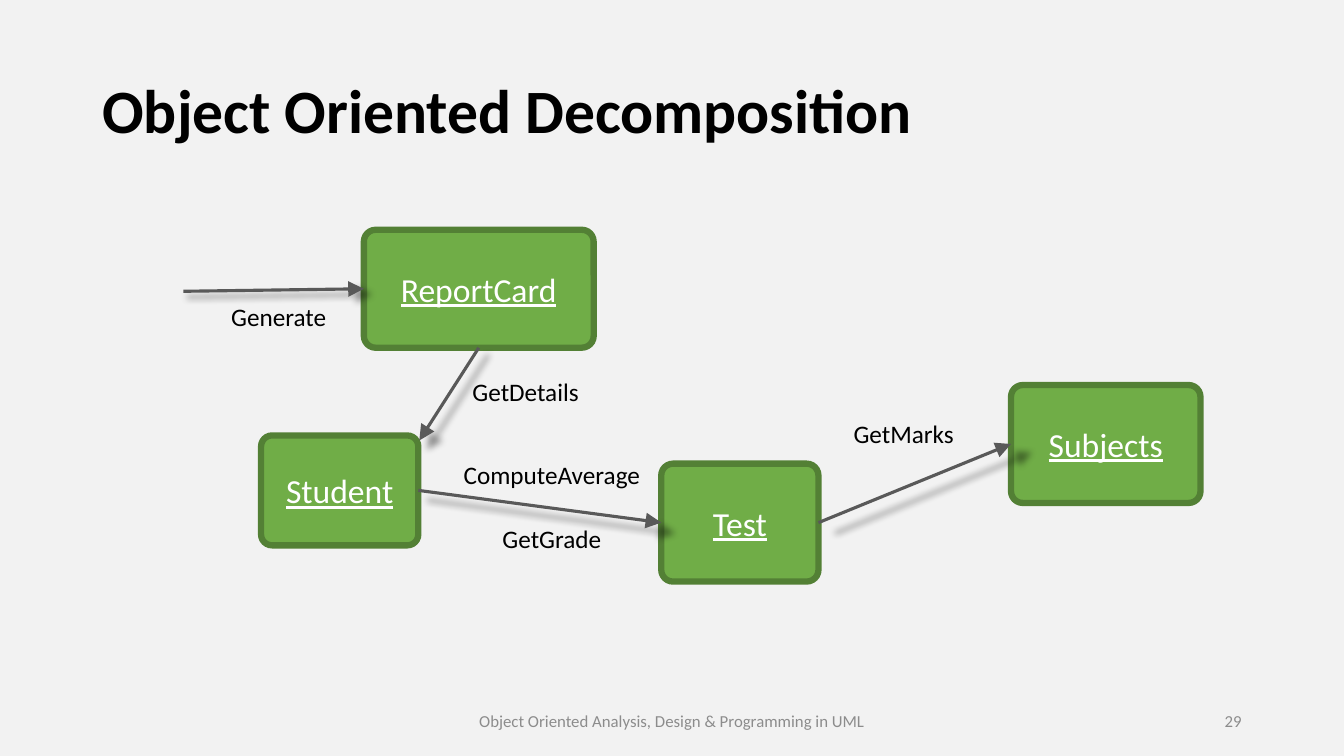
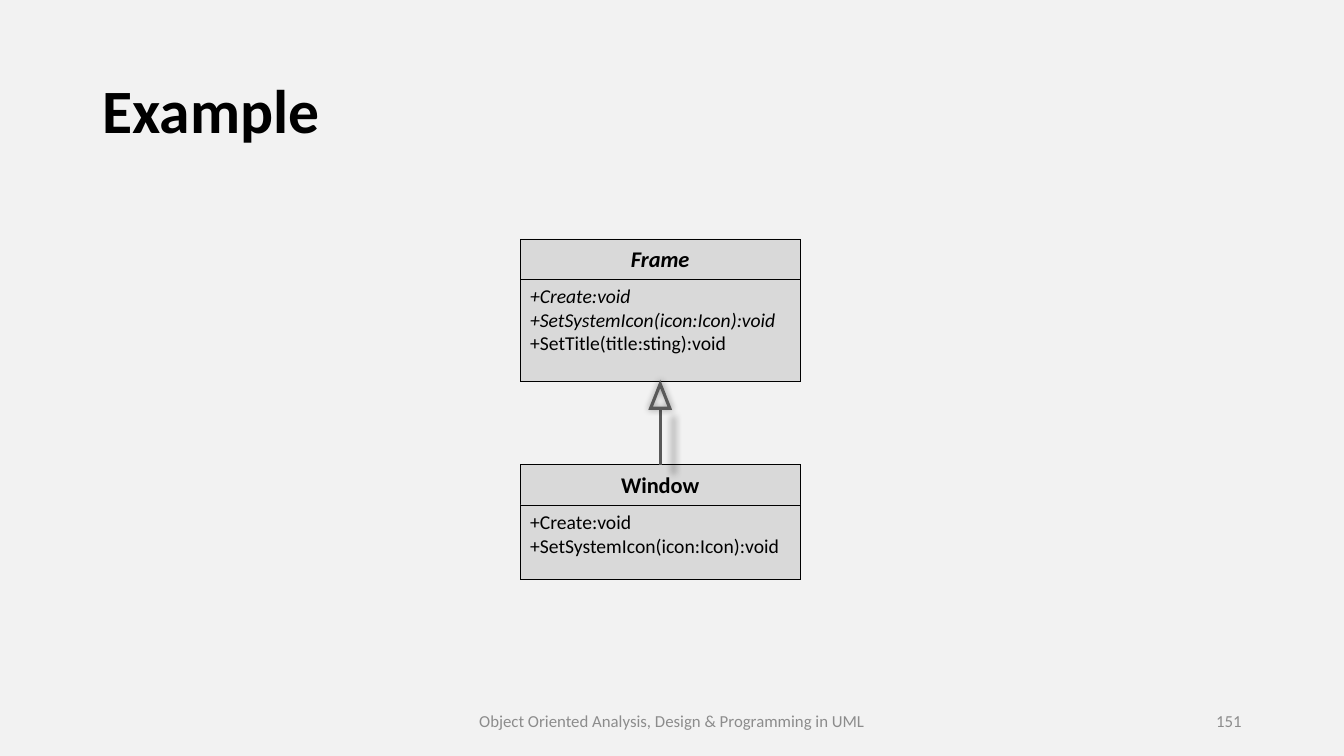
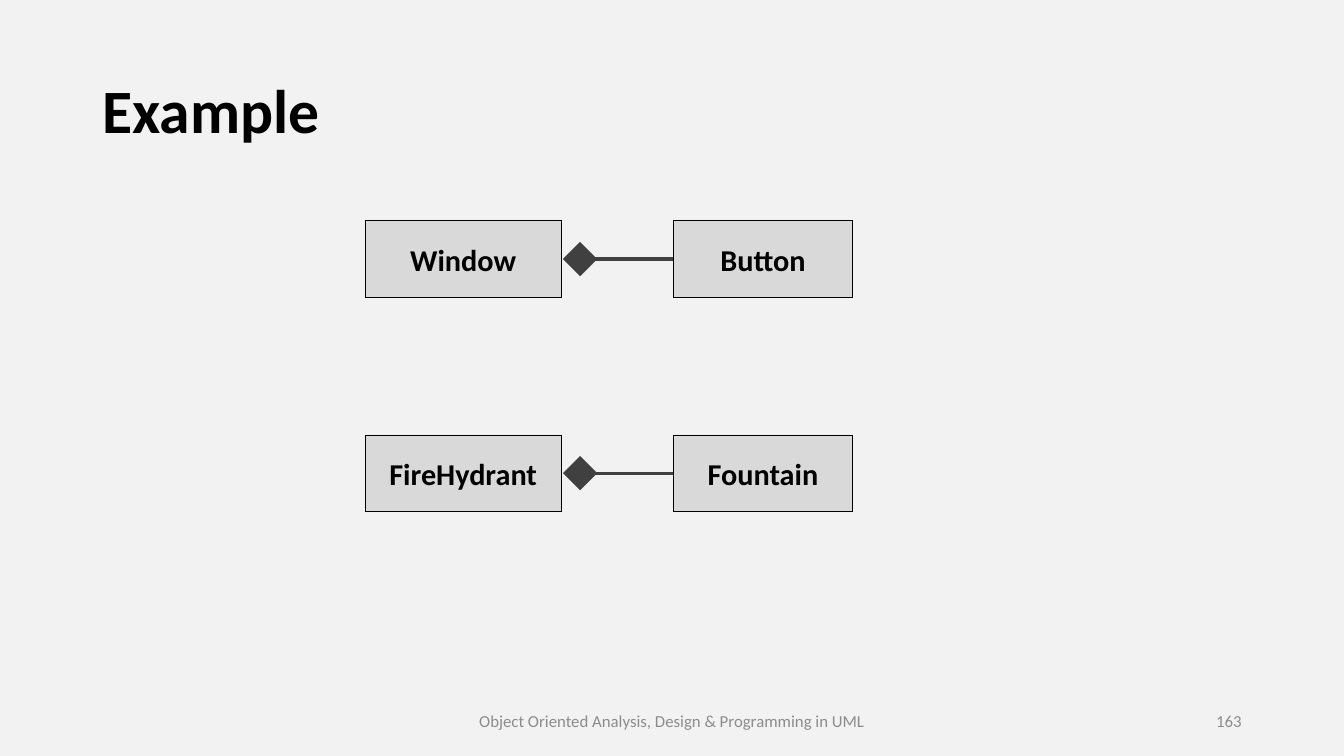
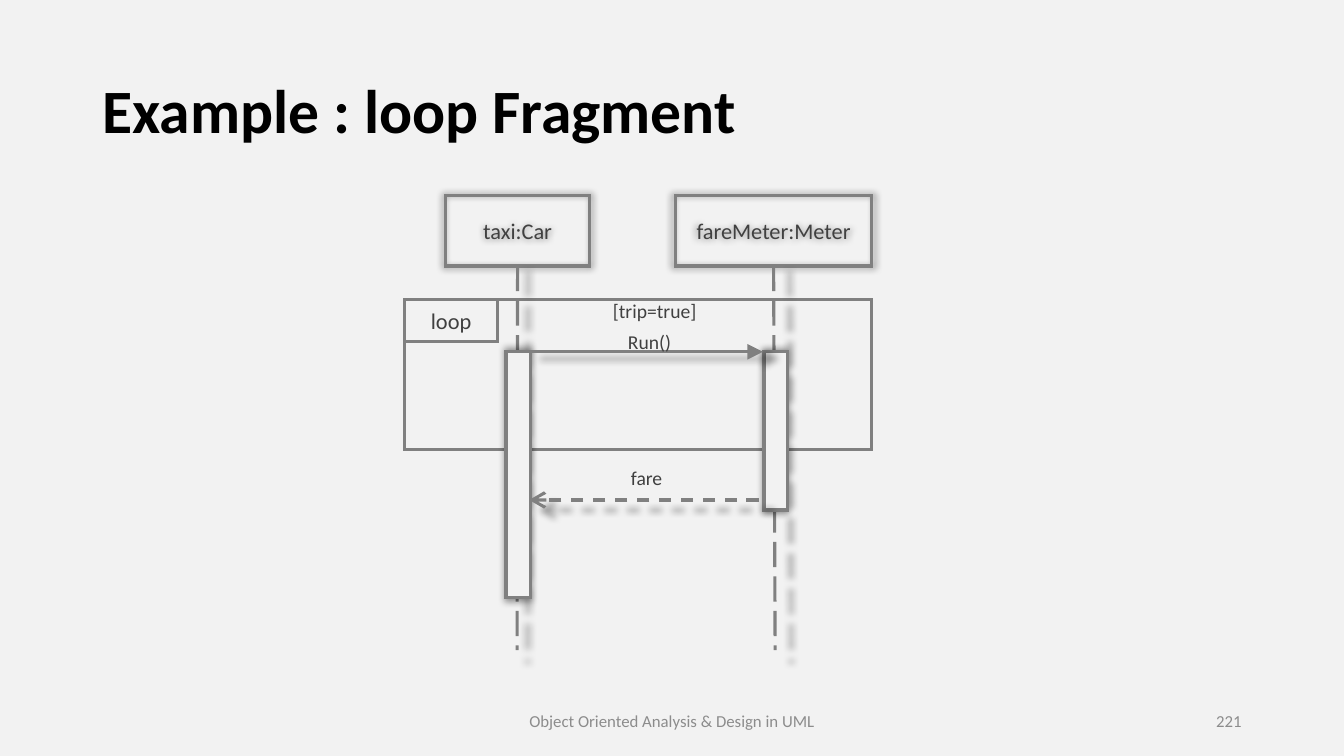
from lxml.etree import SubElement
from pptx import Presentation
from pptx.dml.color import RGBColor
from pptx.enum.dml import MSO_LINE
from pptx.enum.shapes import MSO_CONNECTOR, MSO_SHAPE
from pptx.enum.text import MSO_ANCHOR, PP_ALIGN
from pptx.oxml.ns import qn
from pptx.util import Inches, Pt

BLACK = RGBColor(0x00, 0x00, 0x00)
WHITE = RGBColor(0xFF, 0xFF, 0xFF)
PAPER = RGBColor(0xF2, 0xF2, 0xF2)
SILVER = RGBColor(0xD9, 0xD9, 0xD9)
MUTED = RGBColor(0x8C, 0x8C, 0x8C)
GRAY = RGBColor(0x80, 0x80, 0x80)
SLATE = RGBColor(0x59, 0x59, 0x59)
DARK = RGBColor(0x40, 0x40, 0x40)
GREEN = RGBColor(0x70, 0xAD, 0x47)
FOREST = RGBColor(0x53, 0x80, 0x35)

WIDE, HIGH = Inches(13.33), Inches(7.5)
COLS, ROWS = 80, 45
FACE = "Calibri"
TOP, MID = MSO_ANCHOR.TOP, MSO_ANCHOR.MIDDLE
LEFT, CENTER, RIGHT = PP_ALIGN.LEFT, PP_ALIGN.CENTER, PP_ALIGN.RIGHT
RECT = MSO_SHAPE.RECTANGLE

LONG_FOOT = "Object Oriented Analysis, Design & Programming in UML"
SHORT_FOOT = "Object Oriented Analysis & Design in UML"

OBJECTS = {
    "Student": (15.54, 25.92, 9.36, 6.54),
    "ReportCard": (21.66, 13.68, 13.68, 7.02),
    "Subjects": (60.18, 22.92, 11.28, 7.02),
    "Test": (39.36, 27.6, 9.36, 7.02),
}
CALLS = [
    ((10.92, 17.34), ("ReportCard", 1)),
    (("ReportCard", 2), (24.96, 26.22)),
    (("Student", 3), ("Test", 1)),
    (("Test", 3), ("Subjects", 1)),
]
CALL_NAMES = [
    ("Generate", 10.92, 17.64, 11.34),
    ("GetDetails", 26.16, 22.08, 10.26),
    ("ComputeAverage", 26.22, 27.06, 13.26),
    ("GetGrade", 28.26, 30.84, 9.18),
    ("GetMarks", 48.66, 24.6, 10.26),
]

CLASSES = [
    ("Frame", True, 14.22, 6.06, [
        ("+Create:void", True),
        ("+SetSystemIcon(icon:Icon):void", True),
        ("+SetTitle(title:sting):void", False),
    ]),
    ("Window", False, 27.66, 4.44, [
        ("+Create:void", False),
        ("+SetSystemIcon(icon:Icon):void", False),
    ]),
]

PAIRS = [("Window", "Button"), ("FireHydrant", "Fountain")]

LIVES = [
    ("taxi:Car", 26.52, 8.58, 30.78, (30.12, 1.44, 14.64)),
    ("fareMeter:Meter", 40.2, 11.7, 46.14, (45.48, 1.38, 9.42)),
]
SIGNALS = [
    ("Run()", (32.82, 19.32), 31.5, 45.42, 20.94, "triangle", None),
    ("fare", (32.64, 27.42), 45.18, 31.5, 29.76, "arrow", MSO_LINE.DASH),
]


def col(n):
    return round(WIDE * n / COLS)


def row(n):
    return round(HIGH * n / ROWS)


def place(x, y, w, h):
    return col(x), row(y), col(w), row(h)


def shade(item):
    props = item.element.spPr
    glow = props.find(qn("a:effectLst"))
    if glow is None:
        glow = SubElement(props, qn("a:effectLst"))
    drop = SubElement(glow, qn("a:outerShdw"), blurRad="63500",
                      sx="102000", sy="102000", algn="ctr", rotWithShape="0")
    tint = SubElement(drop, qn("a:srgbClr"), val=str(BLACK))
    SubElement(tint, qn("a:alpha"), val="40000")


def write(shape, paras, size, color, align=CENTER, anchor=MID, space=None, **form):
    frame = shape.text_frame
    frame.word_wrap = True
    frame.vertical_anchor = anchor
    if isinstance(paras, str):
        paras = [(paras, {})]
    for i, (words, extra) in enumerate(paras):
        para = frame.add_paragraph() if i else frame.paragraphs[0]
        para.alignment = align
        if space:
            para.line_spacing = space
        run = para.add_run()
        run.text = words
        run.font.color.rgb = color
        for key, value in {"name": FACE, "size": Pt(size), **form, **extra}.items():
            setattr(run.font, key, value)
    return shape


def label(slide, spot, paras, size, color, **form):
    return write(slide.shapes.add_textbox(*place(*spot)), paras, size, color, **form)


def box(slide, spot, fill, line, width, kind=RECT, shadow=False):
    shape = slide.shapes.add_shape(kind, *place(*spot))
    shape.shadow.inherit = False
    if fill is None:
        shape.fill.background()
    else:
        shape.fill.solid()
        shape.fill.fore_color.rgb = fill
    shape.line.color.rgb = line
    shape.line.width = Pt(width)
    SubElement(shape.element.spPr.find(qn("a:ln")), qn("a:miter"), lim="800000")
    if shadow:
        shade(shape)
    return shape


def link(slide, start, end, color, tip=None, dash=None, shadow=True):
    spots = [(0, 0) if hasattr(a, "shape_id") else (col(a), row(b)) for a, b in (start, end)]
    line = slide.shapes.add_connector(MSO_CONNECTOR.STRAIGHT, *spots[0], *spots[1])
    for (shape, side), join in ((start, line.begin_connect), (end, line.end_connect)):
        if hasattr(shape, "shape_id"):
            join(shape, side)
    line.line.color.rgb = color
    line.line.width = Pt(2.25)
    if dash:
        line.line.dash_style = dash
    if tip:
        SubElement(line.element.spPr.find(qn("a:ln")), qn("a:tailEnd"),
                   type=tip, w="lg", len="lg")
    if shadow:
        shade(line)
    else:
        SubElement(line.element.spPr, qn("a:effectLst"))


def draw_calls(slide):
    nodes = {}
    for name, spot in OBJECTS.items():
        node = box(slide, spot, GREEN, FOREST, 4.5, MSO_SHAPE.ROUNDED_RECTANGLE)
        node.adjustments[0] = 0.1
        nodes[name] = write(node, name, 24, WHITE, underline=True)
    for start, end in CALLS:
        ends = [(nodes.get(a, a), b) for a, b in (start, end)]
        link(slide, *ends, SLATE, "triangle")
    for name, x, y, w in CALL_NAMES:
        label(slide, (x, y, w, 2.4), name, 18, BLACK, anchor=TOP)


def draw_classes(slide):
    x, w, head = 30.96, 16.68, 2.4
    for name, slant, y, h, parts in CLASSES:
        title = box(slide, (x, y, w, head), SILVER, BLACK, 0.5)
        write(title, name, 16, BLACK, bold=True, italic=slant)
        body = box(slide, (x, y + head, w, h), SILVER, BLACK, 0.5)
        paras = [(words, {"italic": tilt}) for words, tilt in parts]
        write(body, paras, 14, BLACK, align=LEFT, anchor=TOP)
    mid, tip_y, tip_w, tip_h = x + w / 2, 22.86, 1.14, 1.44
    link(slide, (title, 0), (mid, tip_y + tip_h), SLATE)
    box(slide, (mid - tip_w / 2, tip_y, tip_w, tip_h), None, SLATE, 2.25,
        MSO_SHAPE.ISOSCELES_TRIANGLE, True)


def draw_pairs(slide):
    top, step, h, gem = 13.14, 12.75, 4.56, 1.26
    for i, names in enumerate(PAIRS):
        y = top + i * step
        mid = y + h / 2
        for name, x, w in zip(names, (21.72, 40.08), (11.7, 10.68)):
            part = box(slide, (x, y, w, h), SILVER, BLACK, 0.5)
            write(part, name, 21.6, BLACK, bold=True)
        link(slide, (35.4, mid), (part, 1), DARK, shadow=False)
        box(slide, (33.9, mid - gem / 2, gem, gem), DARK, DARK, 2.25).rotation = 45


def draw_loop(slide):
    x, y = 24.06, 17.82
    write(box(slide, (x, y, 5.58, 2.52), None, GRAY, 2.25), "loop", 16, DARK)
    label(slide, (35.58, 17.52, 6.78, 2.04), "[trip=true]", 14, DARK, anchor=TOP)
    box(slide, (x, y, 27.84, 8.94), None, GRAY, 2.25)
    for name, left, w, foot, (bar, thick, tall) in LIVES:
        head = box(slide, (left, 11.64, w, 4.2), None, GRAY, 2.25, shadow=True)
        write(head, name, 16, DARK)
        link(slide, (head, 2), (foot, 38.7), GRAY, dash=MSO_LINE.LONG_DASH)
        box(slide, (bar, 20.94, thick, tall), PAPER, GRAY, 2.25, shadow=True)
    for name, spot, start, end, level, tip, dash in SIGNALS:
        link(slide, (start, level), (end, level), GRAY, tip, dash)
        label(slide, (*spot, 11.7, 2.04), name, 14, DARK, anchor=TOP)


SLIDES = [
    ("Object Oriented Decomposition", LONG_FOOT, "29", draw_calls),
    ("Example", LONG_FOOT, "151", draw_classes),
    ("Example", LONG_FOOT, "163", draw_pairs),
    ("Example : loop Fragment", SHORT_FOOT, "221", draw_loop),
]


def dress(slide, title, foot, number):
    slide.background.fill.solid()
    slide.background.fill.fore_color.rgb = PAPER
    label(slide, (5.5, 2.4, 69, 8.7), title, 44, BLACK, align=LEFT, space=0.9, bold=True)
    label(slide, (26.5, 41.7, 27, 2.4), foot, 12, MUTED)
    label(slide, (56.5, 41.7, 18, 2.4), number, 12, MUTED, align=RIGHT)


def main():
    deck = Presentation()
    deck.slide_width, deck.slide_height = WIDE, HIGH
    for title, foot, number, draw in SLIDES:
        slide = deck.slides.add_slide(deck.slide_layouts[6])
        dress(slide, title, foot, number)
        draw(slide)
    deck.save("out.pptx")


if __name__ == "__main__":
    main()
